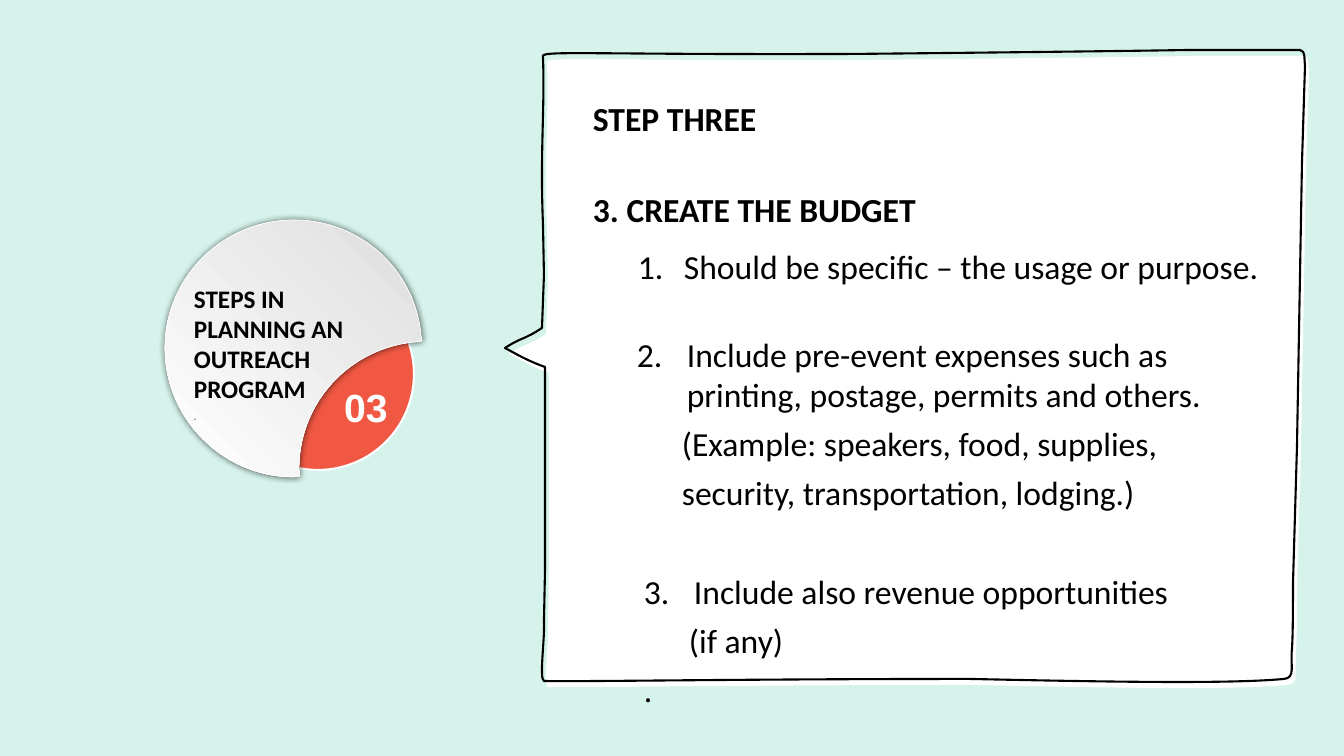
from lxml.etree import SubElement
from pptx import Presentation
from pptx.dml.color import RGBColor
from pptx.enum.shapes import MSO_SHAPE
from pptx.enum.text import MSO_AUTO_SIZE, PP_ALIGN
from pptx.oxml.ns import qn
from pptx.util import Pt

PX = 914400 / 100.8
WIDTH, HEIGHT = 1344, 756
MINT, CORAL, WHITE, BLACK = "D5F2EB", "F15843", "FFFFFF", "000000"
SILVER, GRAY = "DEDEDE", "595959"

BUBBLE = [
    (1302, 163), (1305, 66),
    (1304, 59, 1306, 51, 1300, 50), (1189, 50),
    (1134, 51, 961, 53, 853, 54), (582, 55, 539, 50, 543, 57),
    (545, 108, 540, 151, 543, 224), (544, 275), (542, 328),
    (524, 340, 522, 337, 505, 348), (518, 355, 528, 361, 545, 367),
    (545, 372, 545, 506, 545, 525), (545, 573), (544, 621),
    (545, 639, 539, 679, 544, 681), (571, 682, 740, 679, 970, 679),
    (1109, 682, 1231, 684, 1284, 679), (1296, 678, 1290, 665, 1292, 649),
    (1293, 634, 1293, 606, 1293, 584), (1297, 447),
]
BUBBLE_OFFSET = (4, 6)
BADGE = [
    (294, 220), (361, 220, 415, 270, 421, 335), (422, 341), (415, 342),
    (350, 348, 299, 402, 299, 469), (300, 476), (294, 477),
    (223, 477, 165, 419, 165, 348), (165, 277, 223, 220, 294, 220),
]
DISC = (222, 278, 192, 192)

HEADING = dict(bold=True, after=6)
BODY = dict(after=6)
NOTE = dict(after=6, left=45)
BOXES = [
    ((583, 93, 217, 50), [("STEP THREE", HEADING)]),
    ((583, 184, 421, 50), [("3. CREATE THE BUDGET", HEADING)]),
    ((627, 329, 669, 239), [
        ("Include pre-event expenses such as printing, postage, permits and others.",
         dict(BODY, left=50, number=2)),
        ("(Example: speakers, food, supplies,", NOTE),
        ("security, transportation, lodging.)", NOTE),
    ]),
    ((634, 566, 603, 149), [
        ("Include also revenue opportunities", dict(BODY, left=50, number=3)),
        ("(if any)", NOTE),
        (".", BODY),
    ]),
    ((628, 241, 710, 50), [
        ("Should be specific – the usage or purpose.", dict(BODY, left=46, number=1)),
    ]),
]
BADGE_BOXES = [
    ((184, 278, 192, 152), [
        ("STEPS IN PLANNING AN OUTREACH PROGRAM", dict(size=18, bold=True)),
        (".", dict(size=12, name="Comic Neue", color=GRAY)),
    ]),
    ((330, 378, 72, 57), [
        ("03", dict(size=28, name="Arial", color=WHITE, bold=True, align=PP_ALIGN.CENTER)),
    ]),
]


def emu(length):
    return round(length * PX)


def rgb(color):
    return RGBColor.from_string(color)


def style(shape, fill=None, line=None, width=1.5):
    shape.shadow.inherit = False
    if fill:
        shape.fill.solid()
        shape.fill.fore_color.rgb = rgb(fill)
    else:
        shape.fill.background()
    if line:
        shape.line.color.rgb = rgb(line)
        shape.line.width = Pt(width)
    else:
        shape.line.fill.background()


def add_preset(page, kind, place, **look):
    shape = page.shapes.add_shape(kind, *map(emu, place))
    style(shape, **look)


def add_outline(page, outline, offset=(0, 0), **look):
    segments = [
        [(emu(x + offset[0]), emu(y + offset[1])) for x, y in zip(part[::2], part[1::2])]
        for part in outline
    ]
    anchors = [segment[-1] for segment in segments]
    builder = page.shapes.build_freeform(*anchors[0], scale=1.0)
    builder.add_line_segments(anchors[1:], close=True)
    shape = builder.convert_to_shape()
    steps = list(shape._element.spPr.iter(qn("a:lnTo")))
    for step, segment in zip(steps, segments[1:]):
        if len(segment) == 3:
            bend(step, [(x - shape.left, y - shape.top) for x, y in segment])
    style(shape, **look)
    return shape


def bend(step, points):
    curve = step.makeelement(qn("a:cubicBezTo"))
    for x, y in points:
        SubElement(curve, qn("a:pt"), x=str(x), y=str(y))
    step.getparent().replace(step, curve)


def add_glow(shape):
    effects = shape._element.spPr.find(qn("a:effectLst"))
    shadow = SubElement(effects, qn("a:outerShdw"), blurRad=str(Pt(5)), dist="0", dir="0",
                        algn="ctr", rotWithShape="0")
    color = SubElement(shadow, qn("a:srgbClr"), val=BLACK)
    SubElement(color, qn("a:alpha"), val="60000")


def write(para, text, size=24, name="Calibri", color=BLACK, bold=False,
          after=0, left=0, number=None, align=PP_ALIGN.LEFT):
    properties = para._p.get_or_add_pPr()
    properties.set("marL", str(emu(left)))
    properties.set("indent", str(-emu(left) if number else 0))
    if number:
        SubElement(properties, qn("a:buAutoNum"), type="arabicPeriod", startAt=str(number))
    para.alignment = align
    para.space_after = Pt(after)
    span = para.add_run()
    span.text = text
    span.font.size = Pt(size)
    span.font.name = name
    span.font.bold = bold
    span.font.color.rgb = rgb(color)


def add_text(page, place, lines):
    frame = page.shapes.add_textbox(*map(emu, place)).text_frame
    frame.word_wrap = True
    frame.auto_size = MSO_AUTO_SIZE.SHAPE_TO_FIT_TEXT
    for index, (text, look) in enumerate(lines):
        para = frame.add_paragraph() if index else frame.paragraphs[0]
        write(para, text, **look)


def main():
    deck = Presentation()
    deck.slide_width, deck.slide_height = emu(WIDTH), emu(HEIGHT)
    page = deck.slides.add_slide(deck.slide_layouts[6])
    page.background.fill.solid()
    page.background.fill.fore_color.rgb = rgb(MINT)

    add_preset(page, MSO_SHAPE.RECTANGLE, (0, 0, WIDTH, HEIGHT), fill=MINT)
    add_outline(page, BUBBLE, BUBBLE_OFFSET, fill=WHITE)
    add_outline(page, BUBBLE, line=BLACK)
    for place, lines in BOXES:
        add_text(page, place, lines)

    add_preset(page, MSO_SHAPE.OVAL, DISC, fill=CORAL, line=WHITE)
    badge = add_outline(page, BADGE, line=WHITE, width=0.5)
    badge.fill.gradient()
    badge.fill.gradient_angle = 225
    for stop, color in zip(badge.fill.gradient_stops, (SILVER, WHITE)):
        stop.color.rgb = rgb(color)
    add_glow(badge)
    for place, lines in BADGE_BOXES:
        add_text(page, place, lines)
    deck.save("out.pptx")


if __name__ == "__main__":
    main()
